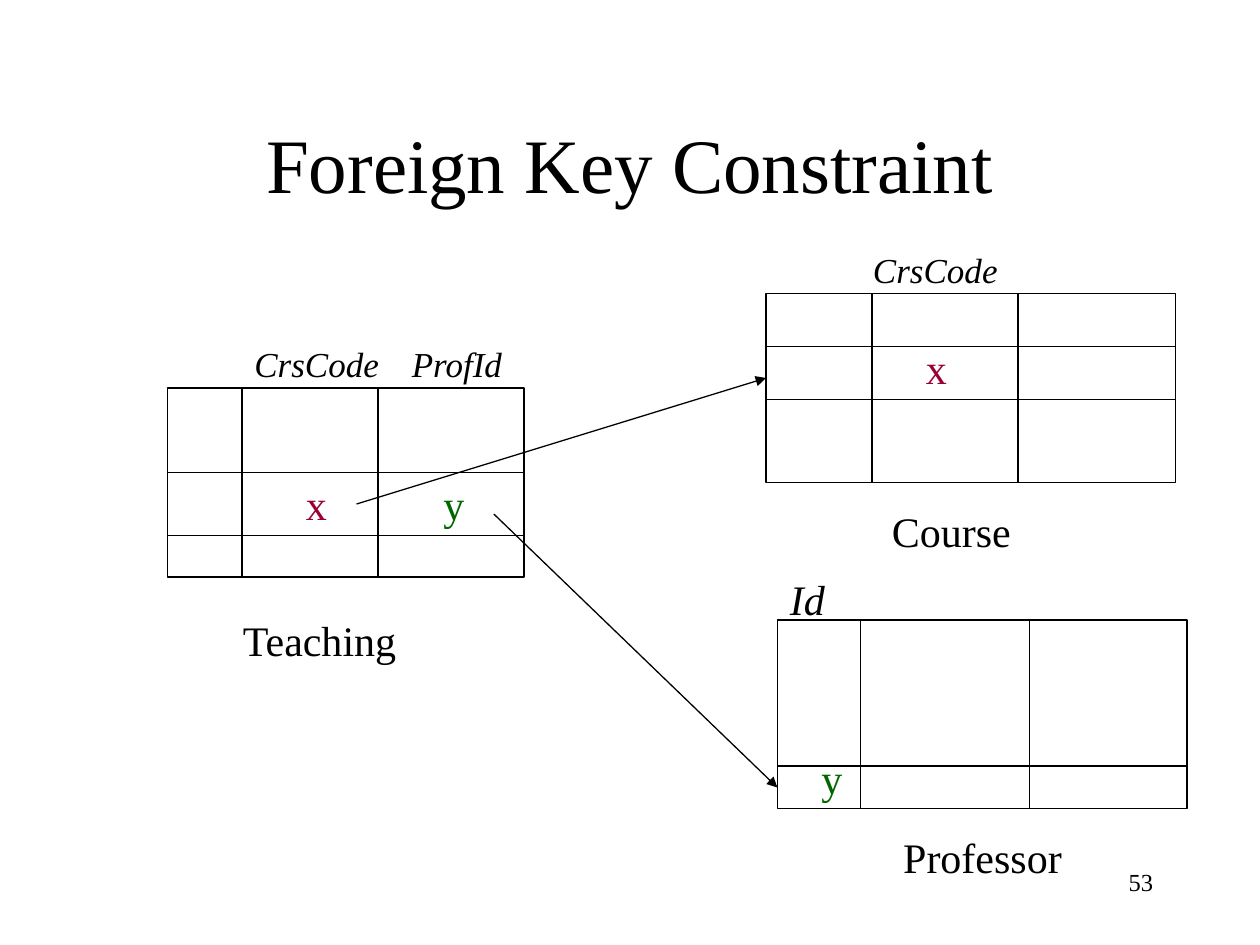
import pptx
import pptx.dml.color
import pptx.enum.shapes
import pptx.enum.text
import pptx.oxml
import pptx.oxml.ns
import pptx.util
from pptx.util import Inches

RGBColor = pptx.dml.color.RGBColor
BLACK = RGBColor(0x00, 0x00, 0x00)
WHITE = RGBColor(0xFF, 0xFF, 0xFF)
CRIMSON = RGBColor(0x99, 0x00, 0x33)
GREEN = RGBColor(0x00, 0x66, 0x00)
FONT = "Times New Roman"
LINE_WIDTH = pptx.util.Pt(0.75)
ALIGN = pptx.enum.text.PP_ALIGN
ANCHOR = pptx.enum.text.MSO_ANCHOR


def format_text(tf, size, color=BLACK, italic=False, align=ALIGN.LEFT):
    p = tf.paragraphs[0]
    p.alignment = align
    font = p.runs[0].font
    font.name = FONT
    font.size = pptx.util.Pt(size)
    font.color.rgb = color
    font.italic = italic


def add_title(s, text):
    title = s.shapes.title
    title.left, title.top = Inches(0.75), Inches(0.67)
    title.width, title.height = Inches(8.5), Inches(1.25)
    tf = title.text_frame
    tf.text = text
    tf.vertical_anchor = ANCHOR.MIDDLE
    format_text(tf, 44, align=ALIGN.CENTER)


def add_label(s, text, left, top, width, height=0.5, size=24, wrap=False, **style):
    sp = s.shapes.add_textbox(Inches(left), Inches(top), Inches(width), Inches(height))
    tf = sp.text_frame
    tf.text = text
    tf.word_wrap = wrap
    format_text(tf, size, **style)


def add_column_name(s, text, left, top, width):
    add_label(s, text, left, top, width, height=0.43, size=20, italic=True)


def add_line(s, x1, y1, x2, y2, arrow=False):
    line = s.shapes.add_connector(
        pptx.enum.shapes.MSO_CONNECTOR.STRAIGHT,
        Inches(x1), Inches(y1), Inches(x2), Inches(y2))
    line.line.color.rgb = BLACK
    line.line.width = LINE_WIDTH
    if arrow:
        ln = line.line._get_or_add_ln()
        ln.append(pptx.oxml.parse_xml(
            f'<a:tailEnd {pptx.oxml.ns.nsdecls("a")} type="triangle"/>'))
    line._element.spPr.append(pptx.oxml.parse_xml(
        f'<a:effectLst {pptx.oxml.ns.nsdecls("a")}/>'))


def add_relation(s, left, top, width, row_edges, column_edges, height=1.5):
    """Draw a framed grid; the edges are its inner rules on the slide."""
    sp = s.shapes.add_shape(
        pptx.enum.shapes.MSO_SHAPE.RECTANGLE,
        Inches(left), Inches(top), Inches(width), Inches(height))
    sp.shadow.inherit = False
    sp.fill.solid()
    sp.fill.fore_color.rgb = WHITE
    sp.line.color.rgb = BLACK
    sp.line.width = LINE_WIDTH
    for y in row_edges:
        add_line(s, left, y, left + width, y)
    for x in column_edges:
        add_line(s, x, top, x, top + height)


def main():
    prs = pptx.Presentation()
    prs.slide_width, prs.slide_height = Inches(10), Inches(7.5)
    s = prs.slides.add_slide(prs.slide_layouts[5])
    add_title(s, "Foreign Key Constraint")
    add_label(s, "53", 7.17, 6.83, 2.08, size=14, wrap=True, align=ALIGN.RIGHT)

    # Teaching
    add_relation(s, 1.33, 3.08, 2.83, [3.75, 4.25], [1.92, 3])
    add_column_name(s, "CrsCode", 1.92, 2.67, 1.19)
    add_column_name(s, "ProfId", 3.17, 2.67, 0.93)
    add_label(s, "x", 2.33, 3.75, 0.37, color=CRIMSON)
    add_label(s, "y", 3.42, 3.75, 0.37, color=GREEN)
    add_label(s, "Teaching", 1.83, 4.83, 1.44)

    # Course
    add_relation(s, 6.08, 2.33, 3.25, [2.75, 3.17], [6.92, 8.08])
    add_column_name(s, "CrsCode", 6.83, 1.92, 1.19)
    add_label(s, "x", 7.25, 2.67, 0.33, wrap=True, color=CRIMSON)
    add_label(s, "Course", 6.98, 3.96, 1.15)

    # Professor
    add_relation(s, 6.17, 4.92, 3.25, [6.08], [6.83, 8.17])
    add_label(s, "Id", 6.17, 4.5, 0.48, italic=True)
    add_label(s, "y", 6.42, 5.92, 0.37, color=GREEN)
    add_label(s, "Professor", 7.07, 6.55, 1.46)

    # Foreign key references
    add_line(s, 3.92, 4.08, 6.17, 6.25, arrow=True)
    add_line(s, 2.83, 4, 6.08, 3, arrow=True)

    prs.save("out.pptx")


if __name__ == "__main__":
    main()
